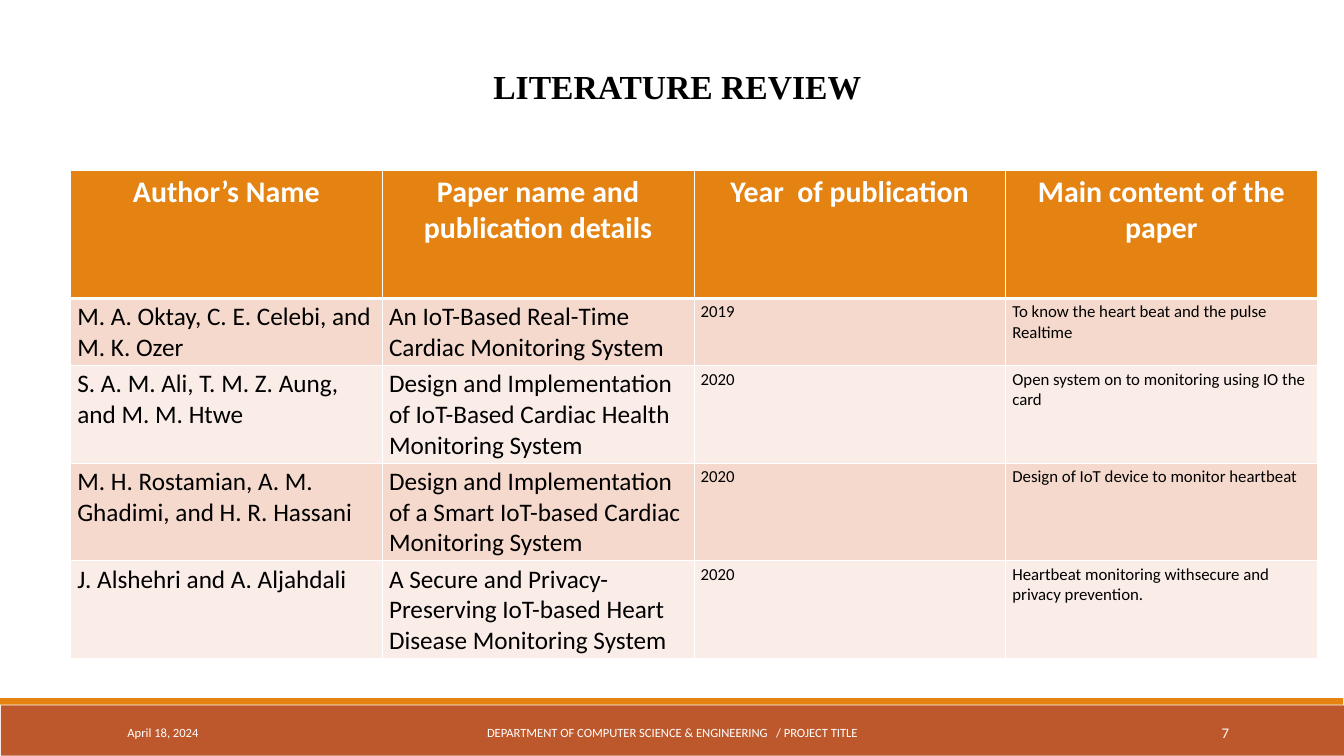
from dataclasses import dataclass

from lxml import etree
from pptx import Presentation
from pptx.dml.color import RGBColor
from pptx.enum import shapes, text
from pptx.oxml import ns
from pptx.util import Cm, Pt

WHITE = RGBColor(0xFF, 0xFF, 0xFF)
BLACK = RGBColor(0x00, 0x00, 0x00)
ORANGE = RGBColor(0xE4, 0x83, 0x12)
RUST = RGBColor(0xBD, 0x58, 0x2C)
ROSE = RGBColor(0xF5, 0xD9, 0xCC)
PALE = RGBColor(0xFA, 0xED, 0xE7)
LEFT, MID, RIGHT = text.PP_ALIGN.LEFT, text.PP_ALIGN.CENTER, text.PP_ALIGN.RIGHT


@dataclass
class Band:
    """A coloured strip of the footer."""
    left: float
    top: float
    height: float
    fill: RGBColor


@dataclass
class Note:
    """A line of footer text."""
    words: str
    left: float
    width: float
    size: float
    align: text.PP_ALIGN


BANDS = [Band(0.03, 26.67, 1.9, RUST), Band(0, 26.39, 0.25, ORANGE)]
NOTES = [
    Note("April 18, 2024", 4.57, 10.31, 13.5, LEFT),
    Note("DEPARTMENT OF COMPUTER SCIENCE & ENGINEERING   / PROJECT TITLE",
         15.37, 20.09, 13.5, MID),
    Note("7", 41.25, 5.46, 15.8, RIGHT),
]
HEAD = ("Author’s Name", "Paper name and publication details",
        "Year  of publication", "Main content of the paper")
PAPERS = [
    ("M. A. Oktay, C. E. Celebi, and M. K. Ozer",
     "An IoT-Based Real-Time Cardiac Monitoring System",
     "2019", "To know the heart beat and the pulse Realtime"),
    ("S. A. M. Ali, T. M. Z. Aung, and M. M. Htwe",
     "Design and Implementation of IoT-Based Cardiac Health Monitoring System",
     "2020", "Open system on to monitoring using IO the card"),
    ("M. H. Rostamian, A. M. Ghadimi, and H. R. Hassani",
     "Design and Implementation of a Smart IoT-based Cardiac Monitoring System",
     "2020", "Design of IoT device to monitor heartbeat"),
    ("J. Alshehri and A. Aljahdali",
     "A Secure and Privacy-Preserving IoT-based Heart Disease Monitoring System",
     "2020", "Heartbeat monitoring withsecure and privacy prevention."),
]
SIZES = (27, 27, 18, 18)


def write(frame, words: str, *, size: float, color: RGBColor = BLACK,
          font: str = "Calibri", bold: bool = False,
          align: text.PP_ALIGN = LEFT, space: float = 1.0) -> None:
    """Put one formatted paragraph into a text frame."""
    frame.word_wrap = True
    para = frame.paragraphs[0]
    para.alignment, para.line_spacing = align, space
    run = para.add_run()
    run.text = words
    run.font.size, run.font.name, run.font.bold = Pt(size), font, bold
    run.font.color.rgb = color


def add_band(slide, band: Band) -> None:
    """Draw one footer strip."""
    bar = slide.shapes.add_shape(shapes.MSO_SHAPE.RECTANGLE, Cm(band.left),
                                 Cm(band.top), Cm(50.77), Cm(band.height))
    bar.shadow.inherit = False
    bar.fill.solid()
    bar.fill.fore_color.rgb = band.fill
    bar.line.fill.background()


def add_note(slide, note: Note) -> None:
    """Draw one footer text."""
    box = slide.shapes.add_textbox(Cm(note.left), Cm(26.92), Cm(note.width), Cm(1.52))
    box.text_frame.vertical_anchor = text.MSO_ANCHOR.MIDDLE
    write(box.text_frame, note.words, size=note.size, color=WHITE, align=note.align)


def add_title(slide) -> None:
    """Place and fill the title."""
    title = slide.shapes.title
    title.left, title.top, title.width, title.height = Cm(1.55), Cm(1.6), Cm(46.84), Cm(2.29)
    frame = title.text_frame
    frame.auto_size = text.MSO_AUTO_SIZE.SHAPE_TO_FIT_TEXT
    frame.vertical_anchor = text.MSO_ANCHOR.TOP
    frame.margin_left = Cm(1.52)
    write(frame, "LITERATURE REVIEW", size=36, font="Times New Roman",
          bold=True, align=MID, space=1.5)


def edge(cell, **widths: float) -> None:
    """Give a cell white borders, in points by side."""
    props = cell._tc.get_or_add_tcPr()
    for spot, (side, width) in enumerate(widths.items()):
        line = etree.Element(ns.qn(f"a:ln{side}"), w=str(Pt(width)))
        fill = etree.SubElement(line, ns.qn("a:solidFill"))
        etree.SubElement(fill, ns.qn("a:srgbClr"), val=str(WHITE))
        props.insert(spot, line)


def add_table(slide) -> None:
    """Draw the table of reviewed papers."""
    rows = [HEAD, *PAPERS]
    table = slide.shapes.add_table(len(rows), len(HEAD), Cm(2.67), Cm(6.45),
                                   Cm(47.12), Cm(13.99)).table
    for col in table.columns:
        col.width = Cm(11.78)
    for r, row in enumerate(rows):
        top = r == 0
        table.rows[r].height = Cm(2.29 if r else 4.83)
        for c, words in enumerate(row):
            cell = table.cell(r, c)
            cell.fill.solid()
            cell.fill.fore_color.rgb = ORANGE if top else ROSE if r % 2 else PALE
            edge(cell, L=1, R=1, T=3 if r == 1 else 1, B=3 if top else 1)
            write(cell.text_frame, words, size=32 if top else SIZES[c], bold=top,
                  color=WHITE if top else BLACK, align=MID if top else LEFT)


def main() -> None:
    """Build the literature review slide."""
    deck = Presentation()
    deck.slide_width, deck.slide_height = Cm(50.8), Cm(28.58)
    slide = deck.slides.add_slide(deck.slide_layouts[5])
    for band in BANDS:
        add_band(slide, band)
    for note in NOTES:
        add_note(slide, note)
    add_title(slide)
    add_table(slide)
    deck.save("out.pptx")


if __name__ == "__main__":
    main()
